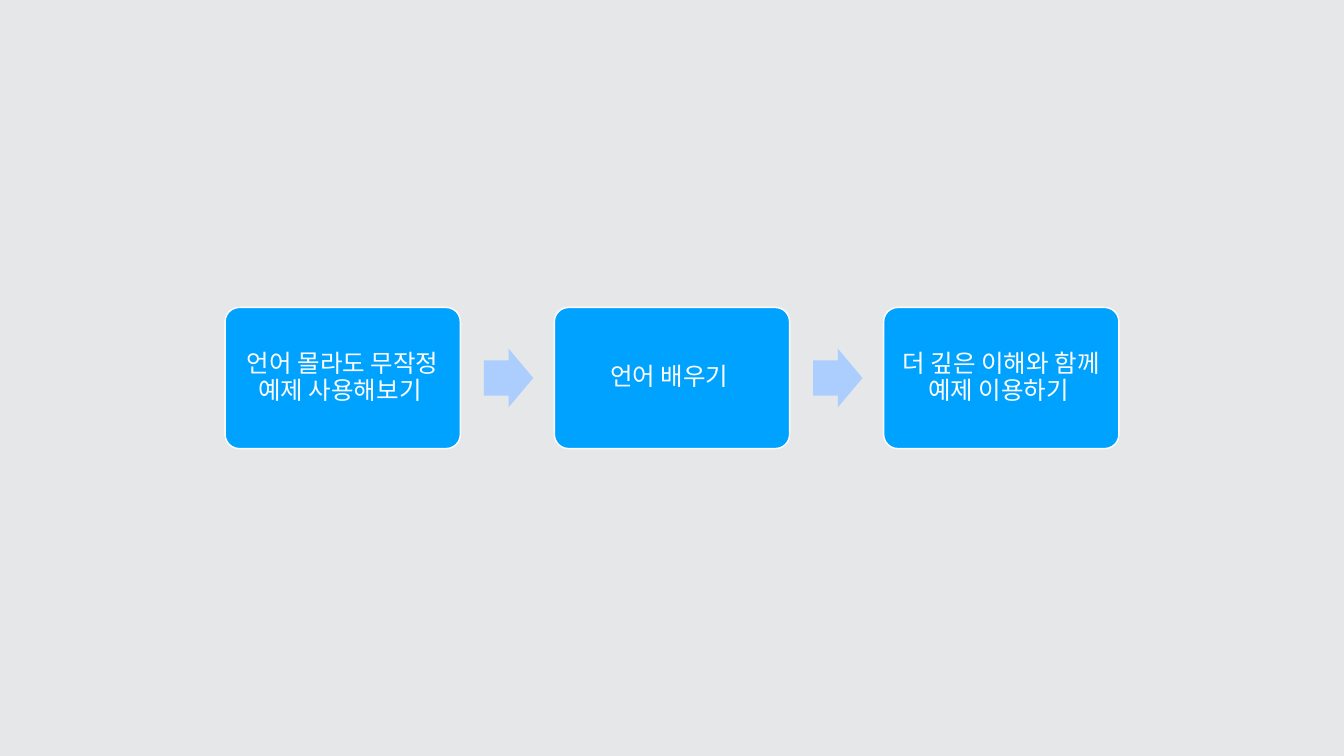
from dataclasses import dataclass

from pptx import Presentation
from pptx.dml.color import RGBColor
from pptx.enum.shapes import MSO_SHAPE
from pptx.enum.text import MSO_ANCHOR, PP_ALIGN
from pptx.util import Inches, Pt


@dataclass(frozen=True)
class Theme:
    backdrop: RGBColor = RGBColor(0xE5, 0xE7, 0xE9)
    step: RGBColor = RGBColor(0x00, 0xA2, 0xFF)
    arrow: RGBColor = RGBColor(0xAB, 0xCE, 0xFF)
    light: RGBColor = RGBColor(0xFF, 0xFF, 0xFF)
    font: str = "Arial"
    step_size: Pt = Pt(35)
    outline: Pt = Pt(2)
    inset: Inches = Inches(0.15)


THEME = Theme()
STEPS = [
    "언어 몰라도 무작정 예제 사용해보기 ",
    "언어 배우기 ",
    "더 깊은 이해와 함께 예제 이용하기 ",
]
# Shares of the slide width
STEP_WIDTH = 0.175
# Shares of the step width
STEP_HEIGHT, GAP = 0.6, 0.4
ARROW_OFFSET, ARROW_WIDTH, ARROW_HEIGHT = 0.1, 0.21, 0.25


def apply_format(target, values):
    for attribute, value in values.items():
        setattr(target, attribute, value)


def add_filled(slide, preset, box, color, adjustments):
    shape = slide.shapes.add_shape(preset, *(round(length) for length in box))
    shape.shadow.inherit = False
    shape.fill.solid()
    shape.fill.fore_color.rgb = color
    for index, share in enumerate(adjustments):
        shape.adjustments[index] = share
    return shape


def add_step(slide, box, wording):
    step = add_filled(slide, MSO_SHAPE.ROUNDED_RECTANGLE, box, THEME.step, [0.1])
    step.line.color.rgb = THEME.light
    step.line.width = THEME.outline

    frame = step.text_frame
    apply_format(frame, {
        "word_wrap": True,
        "vertical_anchor": MSO_ANCHOR.MIDDLE,
        "margin_left": THEME.inset,
        "margin_right": THEME.inset,
        "margin_top": THEME.inset,
        "margin_bottom": THEME.inset,
    })
    label = frame.paragraphs[0]
    apply_format(label, {
        "text": wording,
        "alignment": PP_ALIGN.CENTER,
        "line_spacing": 0.9,
    })
    font = label.runs[0].font
    apply_format(font, {"name": THEME.font, "size": THEME.step_size})
    font.color.rgb = THEME.light


def add_arrow(slide, box):
    arrow = add_filled(slide, MSO_SHAPE.RIGHT_ARROW, box, THEME.arrow, [0.6, 0.5])
    arrow.line.fill.background()


def add_process(slide, box, steps):
    """Spread the steps over the box, with an arrow in each gap."""
    left, top, width, height = box
    step_width = width / (len(steps) + GAP * (len(steps) - 1))
    arrow_height = ARROW_HEIGHT * step_width
    arrow_top = top + (height - arrow_height) / 2

    for index, wording in enumerate(steps):
        step_left = left + index * (1 + GAP) * step_width
        if index:
            arrow_left = step_left - (GAP - ARROW_OFFSET) * step_width
            add_arrow(slide, (arrow_left, arrow_top,
                              ARROW_WIDTH * step_width, arrow_height))
        add_step(slide, (step_left, top, step_width, height), wording)


def main():
    deck = Presentation()
    deck.slide_width, deck.slide_height = Inches(26.67), Inches(15)
    slide = deck.slides.add_slide(deck.slide_layouts[6])
    slide.background.fill.solid()
    slide.background.fill.fore_color.rgb = THEME.backdrop

    step_width = STEP_WIDTH * deck.slide_width
    width = (len(STEPS) + GAP * (len(STEPS) - 1)) * step_width
    height = STEP_HEIGHT * step_width
    left = (deck.slide_width - width) / 2
    top = (deck.slide_height - height) / 2
    add_process(slide, (left, top, width, height), STEPS)
    deck.save("out.pptx")


if __name__ == "__main__":
    main()
